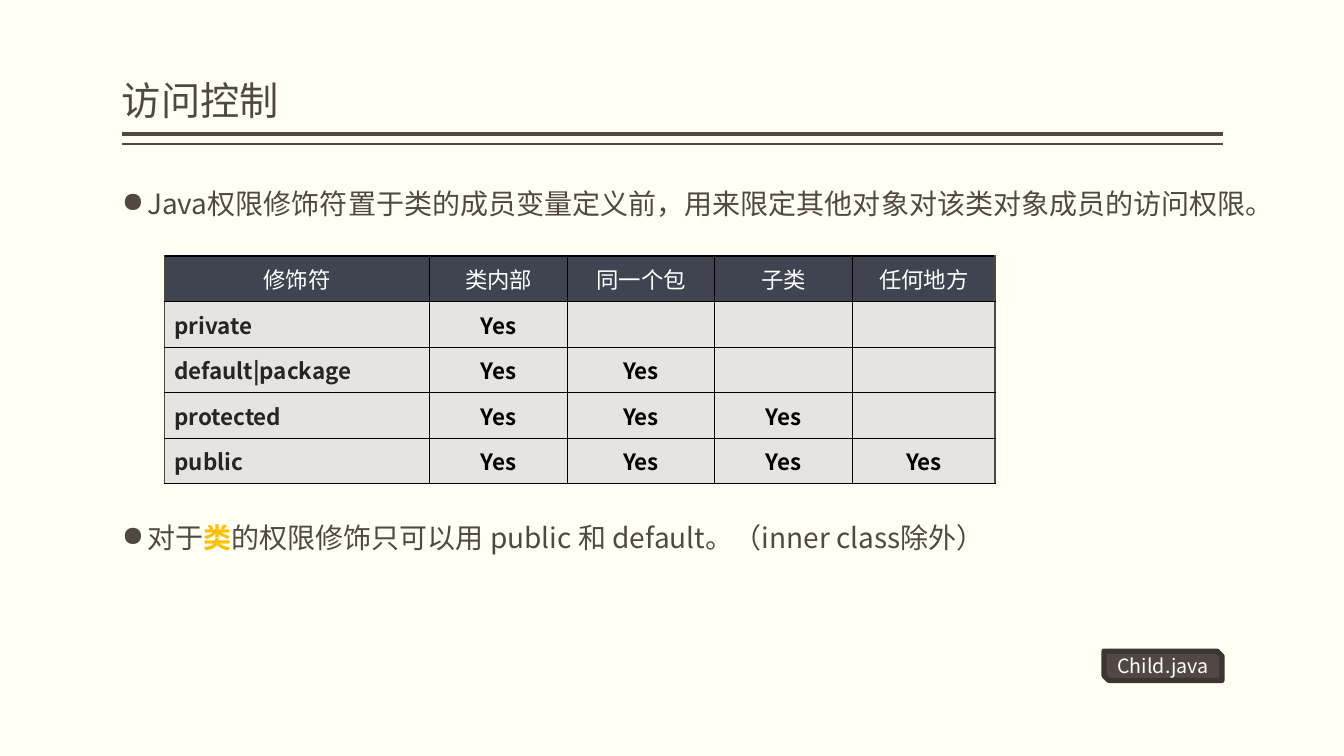
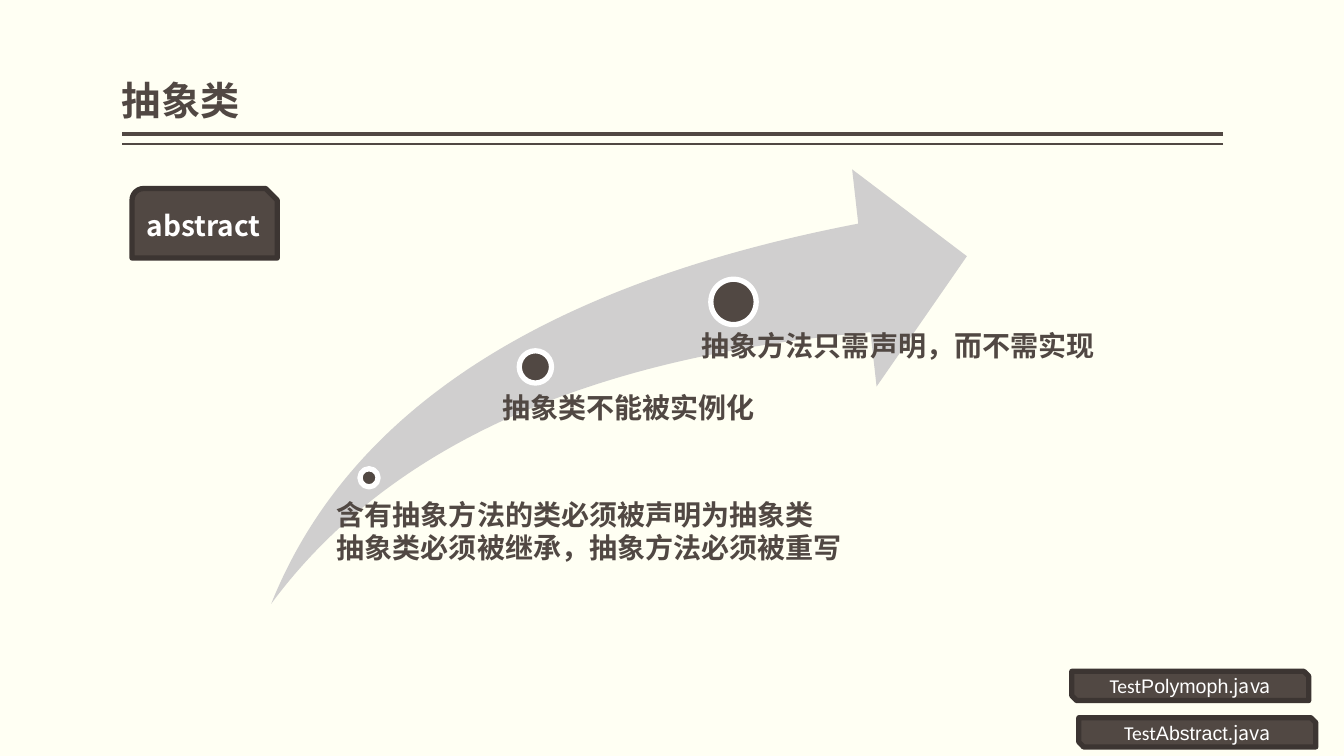
from lxml.etree import SubElement
from pptx import Presentation
from pptx.dml.color import RGBColor
from pptx.enum.shapes import MSO_CONNECTOR, MSO_SHAPE
from pptx.enum.text import MSO_ANCHOR, PP_ALIGN
from pptx.oxml.ns import qn
from pptx.util import Inches, Pt

COLORS = {
    "page": "FFFFF3", "ink": "514843", "edge": "3C3532", "white": "FFFFFF",
    "black": "000000", "header": "3E4450", "cell": "E7E3E0",
    "row_name": "282422", "accent": "FFC000", "arrow": "D0CFCF",
}
FONT = "Noto Sans CJK SC"
LEFT, RIGHT = 1.21, 12.13


def color(name):
    return RGBColor.from_string(COLORS[name])


def style_span(span, size, ink="ink", bold=False, font=FONT):
    """Format a run, giving Latin and East Asian text the same typeface."""
    span.font.size = Pt(size)
    span.font.bold = bold
    span.font.color.rgb = color(ink)
    span.font.name = font
    SubElement(span._r.get_or_add_rPr(), qn("a:ea"), typeface=font)


def write(para, text, size, **style):
    para.text = text
    for span in para.runs:
        style_span(span, size, **style)


def write_spans(para, spans, size, **shared):
    """Fill a paragraph from (text, style) pairs."""
    for text, style in spans:
        span = para.add_run()
        span.text = text
        style_span(span, size, **{**shared, **style})


def add_text_box(slide, place, margin=0.05, anchor=MSO_ANCHOR.TOP):
    frame = slide.shapes.add_textbox(*map(Inches, place)).text_frame
    frame.word_wrap = True
    frame.vertical_anchor = anchor
    frame.margin_left = frame.margin_right = 0
    frame.margin_top = frame.margin_bottom = Inches(margin)
    frame.paragraphs[0].line_spacing = 0.9
    return frame


def add_shape(slide, kind, place, fill, line=None):
    shape = slide.shapes.add_shape(kind, *map(Inches, place))
    shape.shadow.inherit = False
    shape.fill.solid()
    shape.fill.fore_color.rgb = color(fill)
    if line:
        shape.line.color.rgb = color(line)
        shape.line.width = Pt(3.78)
    else:
        shape.line.fill.background()
    return shape


def add_rule(slide, top, width):
    rule = slide.shapes.add_connector(
        MSO_CONNECTOR.STRAIGHT, Inches(RIGHT), Inches(top), Inches(LEFT), Inches(top))
    rule.line.color.rgb = color("ink")
    rule.line.width = Pt(width)
    SubElement(rule._element.spPr, qn("a:effectLst"))


def add_page(deck, title, bold=False):
    """Add a slide with the title and the double rule below it."""
    slide = deck.slides.add_slide(deck.slide_layouts[6])
    add_rule(slide, 1.33, 3)
    add_rule(slide, 1.43, 1)
    frame = add_text_box(slide, (LEFT, 0.08, RIGHT - LEFT, 1.2), anchor=MSO_ANCHOR.BOTTOM)
    write(frame.paragraphs[0], title, 28, bold=bold)
    return slide


def add_bullet(slide, top, spans):
    para = add_text_box(slide, (LEFT, top, 11.5, 0.5)).paragraphs[0]
    write_spans(para, spans, 20)
    props = para._p.get_or_add_pPr()
    props.set("marL", str(Inches(0.25)))
    props.set("indent", str(Inches(-0.25)))
    SubElement(props, qn("a:buChar"), char="●")


def add_badge(slide, kind, place, spans, size, bold=False):
    badge = add_shape(slide, kind, place, "ink", "edge")
    badge.text_frame.vertical_anchor = MSO_ANCHOR.MIDDLE
    para = badge.text_frame.paragraphs[0]
    para.alignment = PP_ALIGN.CENTER
    write_spans(para, spans, size, ink="white", bold=bold)


def add_file_badge(slide, place, spans):
    add_badge(slide, MSO_SHAPE.SNIP_2_DIAG_RECTANGLE, place, spans, 14)


def set_borders(cell, **sides):
    props = cell._tc.get_or_add_tcPr()
    for side in "LRTB":
        line = SubElement(props, qn(f"a:ln{side}"), w=str(Pt(1)))
        fill = SubElement(line, qn("a:solidFill"))
        SubElement(fill, qn("a:srgbClr"), val=COLORS[sides.get(side, "black")])


def add_access_table(slide):
    headings = ["修饰符", "类内部", "同一个包", "子类", "任何地方"]
    modifiers = ["private", "default|package", "protected", "public"]
    rows = [headings]
    for grants, name in enumerate(modifiers, start=1):
        rows.append([name] + ["Yes"] * grants + [""] * (len(modifiers) - grants))
    widths = [2.63, 1.37, 1.46, 1.37, 1.41]
    table = slide.shapes.add_table(
        len(rows), len(widths), Inches(1.63), Inches(2.54),
        Inches(sum(widths)), Inches(2.26)).table
    for column, width in zip(table.columns, widths):
        column.width = Inches(width)
    for row, words in enumerate(rows):
        for col, word in enumerate(words):
            cell = table.cell(row, col)
            outer = {0: {"L": "ink"}, len(widths) - 1: {"R": "ink"}}.get(col, {})
            set_borders(cell, **outer)
            cell.fill.solid()
            cell.fill.fore_color.rgb = color("cell" if row else "header")
            cell.vertical_anchor = MSO_ANCHOR.MIDDLE
            para = cell.text_frame.paragraphs[0]
            is_name = row > 0 and col == 0
            para.alignment = PP_ALIGN.LEFT if is_name else PP_ALIGN.CENTER
            ink = "white" if row == 0 else "row_name" if is_name else "black"
            write(para, word, 16, ink=ink, bold=row > 0)


def add_step(slide, dot, label, lines):
    """Add a dot (left, top, diameter) and the bold lines at label."""
    left, top, size = dot
    add_shape(slide, MSO_SHAPE.OVAL, (left, top, size, size), "ink", "white")
    frame = add_text_box(slide, label, margin=0)
    frame.text = "\n".join(lines)
    for para in frame.paragraphs:
        para.line_spacing = 0.9
        para.space_after = Pt(2.5)
        for span in para.runs:
            style_span(span, 20, bold=True)


def build_access_control(deck):
    slide = add_page(deck, "访问控制")
    add_bullet(slide, 1.84, [
        ("Java权限修饰符置于类的成员变量定义前，用来限定其他对象对该类对象成员的访问权限。", {})])
    add_access_table(slide)
    add_bullet(slide, 5.15, [
        ("对于", {}),
        ("类", {"ink": "accent", "bold": True}),
        ("的权限修饰只可以用 public 和 default。（inner class除外）", {})])
    add_file_badge(slide, (10.95, 6.46, 1.17, 0.29), [("Child.java", {})])


def build_abstract_class(deck):
    slide = add_page(deck, "抽象类", bold=True)
    arrow = add_shape(slide, MSO_SHAPE.SWOOSH_ARROW, (2.69, 1.68, 6.9, 4.31), "arrow")
    arrow.adjustments[0] = arrow.adjustments[1] = 0.25
    steps = [
        ((3.57, 4.65, 0.18), (3.34, 4.97, 6.41, 1.25),
         ["含有抽象方法的类必须被声明为抽象类", "抽象类必须被继承，抽象方法必须被重写"]),
        ((5.15, 3.48, 0.32), (4.98, 3.91, 4.11, 0.85), ["抽象类不能被实例化"]),
        ((7.05, 2.77, 0.45), (6.96, 3.3, 4.29, 0.84), ["抽象方法只需声明，而不需实现"]),
    ]
    for dot, label, lines in steps:
        add_step(slide, dot, label, lines)
    add_badge(slide, MSO_SHAPE.SNIP_ROUND_RECTANGLE, (1.31, 1.87, 1.44, 0.69),
              [("abstract", {})], 20, bold=True)
    for left, top, name in [(10.63, 6.66, "Polymoph"), (10.7, 7.12, "Abstract")]:
        add_file_badge(slide, (left, top, 2.35, 0.29), [
            ("Test", {"font": "Calibri"}), (name, {"font": "Arial"}),
            (".", {"font": "Calibri"}), ("java", {})])


def main():
    deck = Presentation()
    deck.slide_width, deck.slide_height = Inches(13.33), Inches(7.5)
    background = deck.slide_master.background.fill
    background.solid()
    background.fore_color.rgb = color("page")
    build_access_control(deck)
    build_abstract_class(deck)
    deck.save("out.pptx")


if __name__ == "__main__":
    main()
